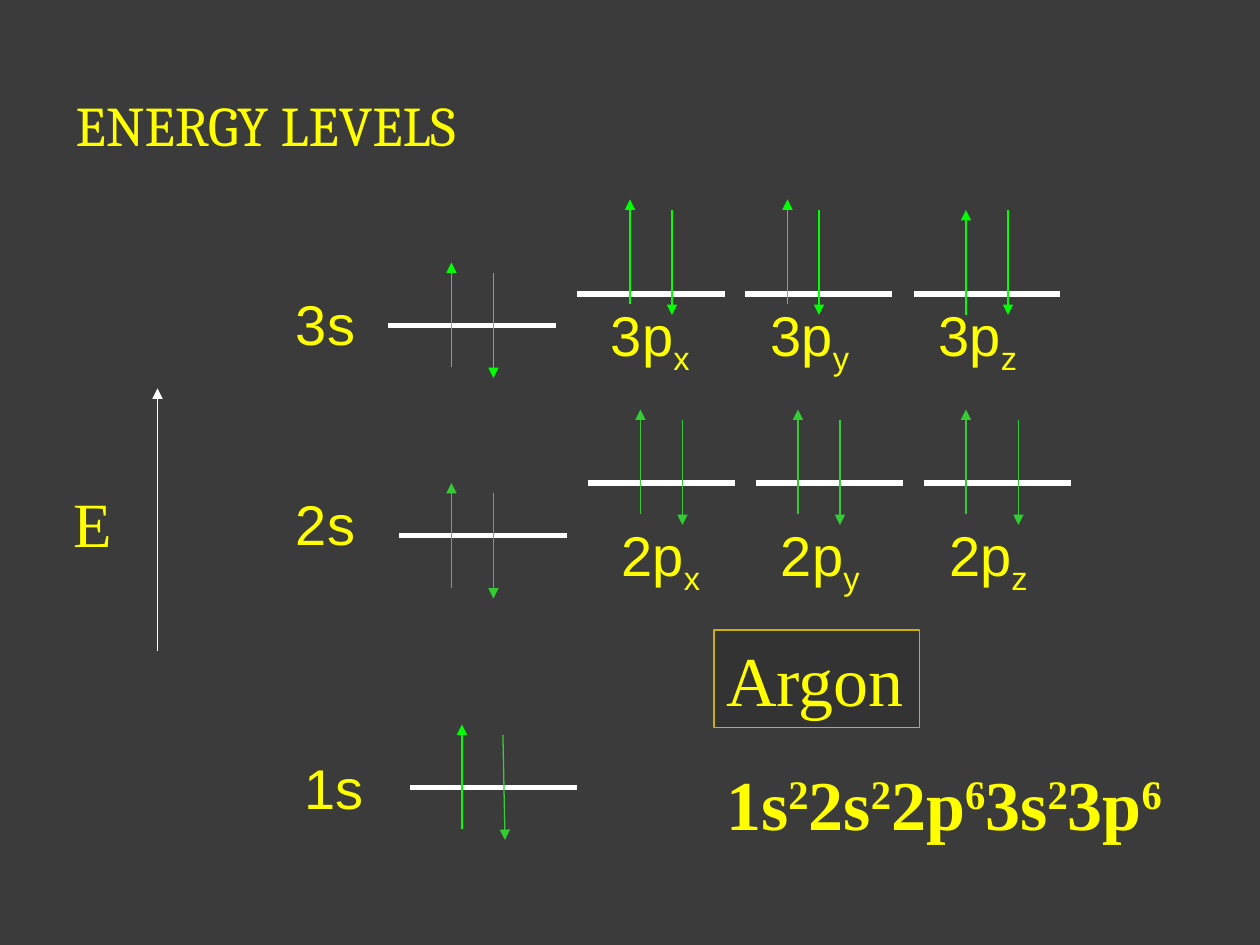
import dataclasses

import pptx
import pptx.dml.color
import pptx.enum.shapes
import pptx.enum.text
import pptx.oxml
import pptx.oxml.ns
import pptx.util

COLS, ROWS = 120, 90
WIDE, HIGH = pptx.util.Inches(10), pptx.util.Inches(7.5)


@dataclasses.dataclass(frozen=True)
class Theme:
    back: str = "3B3B3B"
    text: str = "FFFF00"
    line: str = "FFFFFF"
    lime: str = "00FF00"
    green: str = "33CC33"
    box: str = "333333"
    edge: str = "CCAF0A"
    head: str = "Cambria"
    sans: str = "Arial"
    serif: str = "Times New Roman"
    label: int = 32
    axis: int = 36
    large: int = 40
    thick: float = 3
    thin: float = 0.75


THEME = Theme()


@dataclasses.dataclass(frozen=True)
class Level:
    """An orbital in grid units; foot is the tail row of its up arrow."""
    name: str
    sub: str
    left: float
    row: float
    span: float
    ups: float
    downs: float
    foot: float
    tag: tuple  # left, top and width of the label
    up_tint: str
    down_tint: str
    drop: float = 1  # rows from the foot to the tip of the down arrow
    lean: float = 0


def p_levels(shell, left, row, tag_row, tint, spins):
    """Three p orbitals on a pitch of 16 columns."""
    levels = []
    wide = 12.8 if shell == 3 else 11.8
    for i, (axis, (up, down, foot, drop)) in enumerate(zip("xyz", spins)):
        start = left + 16 * i
        tag = (start + (1.2 if i else 2), tag_row, wide if axis == "y" else 10.2)
        levels.append(Level(f"{shell}p", axis, start, row, 14, up, down, foot,
                            tag, tint, tint, drop))
    return levels


LEVELS = [
    *p_levels(2, 56, 46, 49, THEME.green,
              [(61, 65, 49, 1), (76, 80, 49, 1), (92, 97, 49, 1)]),
    *p_levels(3, 55, 28, 28, THEME.lime,
              [(60, 64, 29, 1), (75, 78, 29, 1), (92, 96, 30, 0)]),
    Level("3s", "", 37, 31, 16, 43, 47, 35, (27, 27, 8), THEME.lime, THEME.lime),
    Level("2s", "", 38, 51, 16, 43, 47, 56, (27, 46, 8), THEME.green, THEME.green),
    Level("1s", "", 39, 75, 16, 44, 47.9, 79, (27.8, 71.2, 8),
          THEME.lime, THEME.green, lean=0.2),
]


def col(n):
    return round(WIDE * n / COLS)


def row(n):
    return round(HIGH * n / ROWS)


def place(left, top, wide, high):
    return col(left), row(top), col(wide), row(high)


def rgb(tint):
    return pptx.dml.color.RGBColor.from_string(tint)


def add_run(para, text, face, size, base=0, bold=False):
    """Add a run; base is the shift from the baseline in percent."""
    run = para.add_run()
    run.text = text
    run.font.name, run.font.size = face, pptx.util.Pt(size)
    run.font.bold = bold
    run.font.color.rgb = rgb(THEME.text)
    if base:
        run.font._element.set("baseline", str(base * 1000))


def fill_text(shape, parts, face, size, wrap=False, bold=False):
    """Write (text, base) parts as one paragraph."""
    frame = shape.text_frame
    frame.word_wrap = wrap
    frame.auto_size = pptx.enum.text.MSO_AUTO_SIZE.SHAPE_TO_FIT_TEXT
    frame.vertical_anchor = pptx.enum.text.MSO_ANCHOR.TOP
    para = frame.paragraphs[0]
    para.alignment = pptx.enum.text.PP_ALIGN.LEFT
    for text, base in parts:
        add_run(para, text, face, size, base, bold)


def add_text(slide, spot, parts, face, size, **look):
    fill_text(slide.shapes.add_textbox(*place(*spot)), parts, face, size, **look)


def add_line(slide, x1, y1, x2, y2, tint, width, arrow=False):
    line = slide.shapes.add_connector(
        pptx.enum.shapes.MSO_CONNECTOR.STRAIGHT, col(x1), row(y1), col(x2), row(y2))
    line.line.color.rgb = rgb(tint)
    line.line.width = pptx.util.Pt(width)
    if arrow:
        tail = pptx.oxml.parse_xml(
            f'<a:tailEnd {pptx.oxml.ns.nsdecls("a")} type="triangle"/>')
        line.line._get_or_add_ln().append(tail)
    line._element.spPr.append(
        pptx.oxml.parse_xml(f'<a:effectLst {pptx.oxml.ns.nsdecls("a")}/>'))


def add_title(slide, text):
    title = slide.shapes.title
    title.left, title.top, title.width, title.height = place(6, 3.6, 108, 16.4)
    title.text_frame.vertical_anchor = pptx.enum.text.MSO_ANCHOR.MIDDLE
    para = title.text_frame.paragraphs[0]
    para.alignment = pptx.enum.text.PP_ALIGN.LEFT
    add_run(para, text, THEME.head, THEME.label)


def add_level(slide, level):
    add_line(slide, level.left, level.row, level.left + level.span, level.row,
             THEME.line, THEME.thick)
    left, top, wide = level.tag
    parts = [(level.name, 0)]
    if level.sub:
        parts.append((level.sub, -25))
    add_text(slide, (left, top, wide, 7.6), parts, THEME.sans, THEME.label,
             wrap=level.sub == "y")


def add_spins(slide, level):
    add_line(slide, level.ups, level.foot, level.ups, level.foot - 10,
             level.up_tint, THEME.thin, arrow=True)
    tip = level.foot + level.drop
    add_line(slide, level.downs, tip - 10, level.downs + level.lean, tip,
             level.down_tint, THEME.thin, arrow=True)


def add_axis(slide):
    add_text(slide, (5.8, 45.6, 6.1, 8.4), [("E", 0)], THEME.serif, THEME.axis)
    add_line(slide, 15, 62, 15, 37, THEME.line, THEME.thin, arrow=True)


def add_atom(slide):
    box = slide.shapes.add_shape(pptx.enum.shapes.MSO_SHAPE.RECTANGLE,
                                 *place(68, 60, 19.6, 9.3))
    box.shadow.inherit = False
    box.fill.solid()
    box.fill.fore_color.rgb = rgb(THEME.box)
    box.line.color.rgb = rgb(THEME.edge)
    box.line.width = pptx.util.Pt(THEME.thin)
    fill_text(box, [("Argon", 0)], THEME.serif, THEME.large)
    shells = [("1s", "2"), ("2s", "2"), ("2p", "6"), ("3s", "2"), ("3p", "6")]
    parts = [part for name, count in shells for part in ((name, 0), (count, 30))]
    add_text(slide, (68, 71.8, 45.6, 9.2), parts, THEME.serif, THEME.large, bold=True)


def main():
    deck = pptx.Presentation()
    deck.slide_width, deck.slide_height = WIDE, HIGH
    slide = deck.slides.add_slide(deck.slide_layouts[5])
    slide.background.fill.solid()
    slide.background.fill.fore_color.rgb = rgb(THEME.back)
    add_title(slide, "ENERGY LEVELS")
    for level in LEVELS:
        add_level(slide, level)
    add_axis(slide)
    add_atom(slide)
    for level in LEVELS:
        add_spins(slide, level)
    deck.save("out.pptx")


if __name__ == "__main__":
    main()
